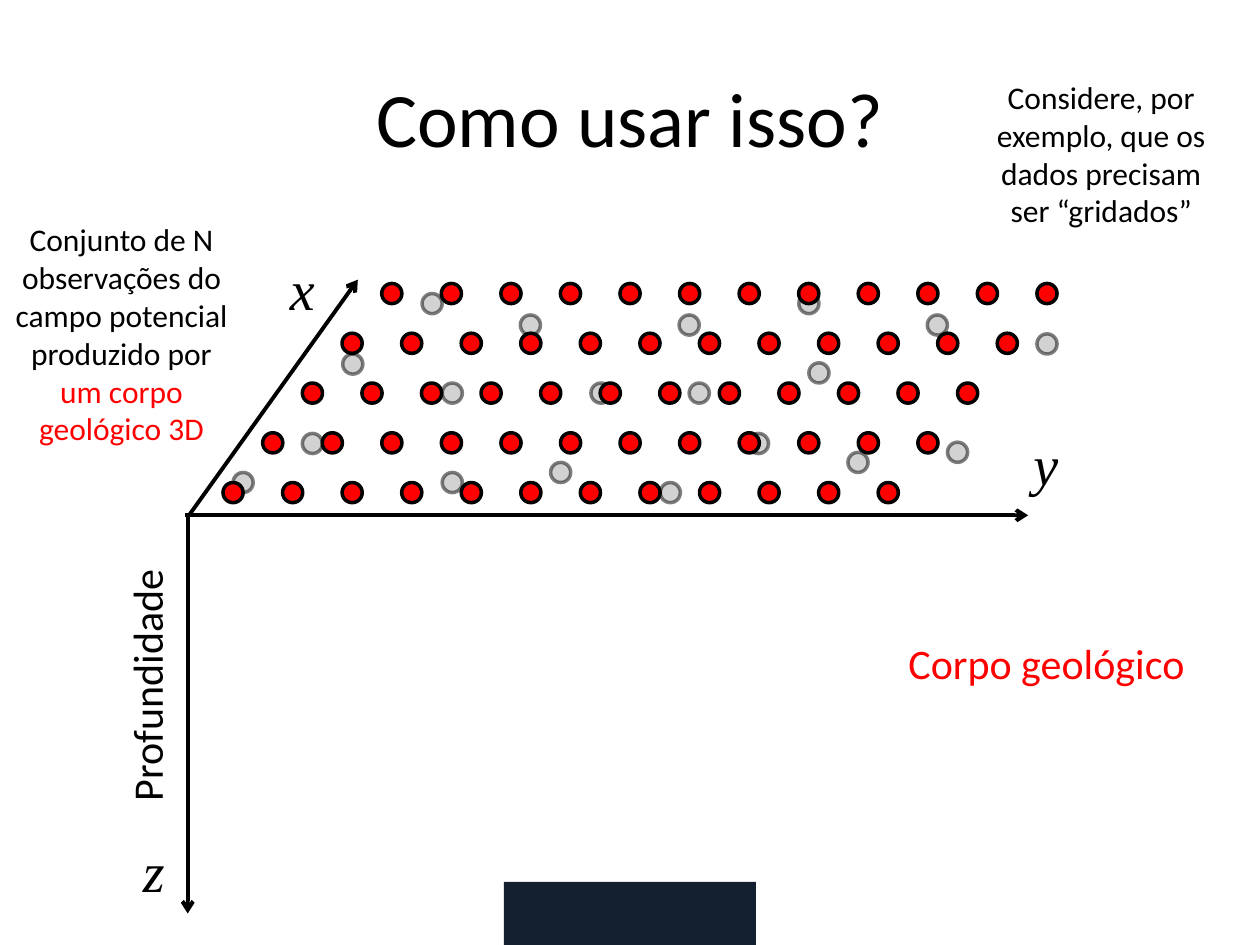
from dataclasses import dataclass

from lxml import etree
from pptx import Presentation
from pptx.dml.color import RGBColor
from pptx.enum.shapes import MSO_CONNECTOR, MSO_SHAPE
from pptx.enum.text import MSO_ANCHOR, PP_ALIGN
from pptx.oxml.ns import qn
from pptx.util import Inches, Pt

STRAIGHT = MSO_CONNECTOR.STRAIGHT
OVAL = MSO_SHAPE.OVAL
CENTER = PP_ALIGN.CENTER
MIDDLE, TOP = MSO_ANCHOR.MIDDLE, MSO_ANCHOR.TOP


@dataclass(frozen=True)
class Theme:
    black: RGBColor = RGBColor(0x00, 0x00, 0x00)
    red: RGBColor = RGBColor(0xFF, 0x00, 0x00)
    gray: RGBColor = RGBColor(0xA6, 0xA6, 0xA6)
    navy: RGBColor = RGBColor(0x14, 0x20, 0x2F)
    sans: str = "Calibri"
    serif: str = "Times New Roman"
    title: int = 44
    axis: int = 32
    label: int = 24
    note: int = 18
    axis_line: float = 2.25
    dot_line: float = 2


THEME = Theme()
DOT = 0.16
ROWS, COLUMNS = 5, 12
SKEW = 1.26  # horizontal shift between the nearest and the farthest row

OBSERVATIONS = [
    (1.58, 0.08), (2.36, 0.25), (1.74, 0.79), (0.95, 0.56), (0.63, 1.19),
    (1.74, 1.5), (2.92, 0.79), (3.62, 0.25), (2.6, 1.42), (3.7, 0.79),
    (3.47, 1.58), (4.57, 0.08), (4.65, 0.63), (4.17, 1.19), (5.59, 0.25),
    (4.96, 1.34), (5.75, 1.26), (6.46, 0.4), (0.08, 1.5),
]
BODY_OUTLINE = [
    (0.02, 0.51), (0.12, 0.37), (0.25, 0.24), (0.44, 0.13), (0.6, 0.1),
    (0.79, 0.03), (1.07, 0), (1.21, 0.03), (1.35, 0.06), (1.55, 0.14),
    (1.87, 0.26), (2.13, 0.33), (2.32, 0.47), (2.46, 0.56), (2.6, 0.74),
    (2.61, 0.85), (2.5, 1.05), (2.15, 1.28), (1.8, 1.4), (1.45, 1.55),
    (1.08, 1.61), (0.6, 1.5), (0.3, 1.36), (0.08, 1.1), (0, 0.74),
]


def add_text(slide, box, runs, size, font=THEME.sans, italic=False, anchor=TOP):
    """Add one centred paragraph; runs are (text, colour) pairs."""
    tb = slide.shapes.add_textbox(*map(Inches, box))
    tf = tb.text_frame
    tf.word_wrap = True
    tf.vertical_anchor = anchor
    p = tf.paragraphs[0]
    p.alignment = CENTER
    for text, color in runs:
        r = p.add_run()
        r.text = text
        r.font.size = Pt(size)
        r.font.name = font
        r.font.italic = italic
        r.font.color.rgb = color
    return tb


def add_arrow(slide, x1, y1, x2, y2):
    line = slide.shapes.add_connector(STRAIGHT, *map(Inches, (x1, y1, x2, y2)))
    line.line.color.rgb = THEME.black
    line.line.width = Pt(THEME.axis_line)
    etree.SubElement(line.line._get_or_add_ln(), qn("a:tailEnd"), type="arrow")
    etree.SubElement(line._element.spPr, qn("a:effectLst"))


def add_dot(group, x, y, color, opacity=100):
    sp = group.shapes.add_shape(OVAL, *map(Inches, (x, y, DOT, DOT)))
    sp.shadow.inherit = False
    sp.fill.solid()
    sp.fill.fore_color.rgb = color
    sp.line.color.rgb = THEME.black
    sp.line.width = Pt(THEME.dot_line)
    if opacity < 100:
        for clr in sp._element.spPr.iter(qn("a:srgbClr")):
            etree.SubElement(clr, qn("a:alpha"), val=str(opacity * 1000))


def add_axes(slide, box):
    left, top, width, height = box
    origin = top + 1.87
    add_arrow(slide, left + 0.02, origin, left + 0.02, top + height)
    add_arrow(slide, left, origin, left + width, origin)
    add_arrow(slide, left + 0.03, origin, left + 1.37, top)
    for name, dx, dy in (("z", -0.72, 4.37), ("x", 0.46, -0.25), ("y", 6.36, 1.14)):
        add_text(slide, (left + dx, top + dy, 0.94, 0.64),
                 [(name, THEME.black)], THEME.axis, THEME.serif, italic=True)
    depth = add_text(slide, (left - 1.53, top + 2.97, 2.44, 0.5),
                     [("Profundidade", THEME.black)], THEME.label)
    depth.rotation = 270


def add_body(slide, box):
    left, top = box[:2]
    points = [(left + x, top + y) for x, y in BODY_OUTLINE]
    builder = slide.shapes.build_freeform(*points[0], scale=Inches(1))
    builder.add_line_segments(points[1:], close=True)
    sp = builder.convert_to_shape()
    sp.shadow.inherit = False
    sp.fill.solid()
    sp.fill.fore_color.rgb = THEME.navy
    sp.line.fill.background()


def add_observations(slide, box):
    left, top = box[:2]
    group = slide.shapes.add_group_shape()
    for x, y in OBSERVATIONS:
        add_dot(group, left + x, top + y, THEME.gray, opacity=50)


def add_grid(slide, box):
    """Fill the box with a slanted regular grid of dots."""
    left, top, width, height = box
    step_x = (width - SKEW - DOT) / (COLUMNS - 1)
    step_y = (height - DOT) / (ROWS - 1)
    group = slide.shapes.add_group_shape()
    for row in range(ROWS):
        start = left + SKEW * (1 - row / (ROWS - 1))
        for column in range(COLUMNS):
            add_dot(group, start + column * step_x, top + row * step_y, THEME.red)


def add_captions(slide):
    add_text(slide, (0.5, 0.3, 9, 1.25), [("Como usar isso?", THEME.black)],
             THEME.title, anchor=MIDDLE)
    add_text(slide, (0, 1.7, 1.93, 1.92), [
        ("Conjunto de N observações do campo potencial produzido por ", THEME.black),
        ("um corpo geológico 3D", THEME.red)], THEME.note)
    add_text(slide, (6.65, 5.01, 3.31, 0.5), [("Corpo geológico", THEME.red)],
             THEME.label)
    add_text(slide, (7.74, 0.57, 2, 1.31), [
        ("Considere, por exemplo, que os dados precisam ser “gridados”", THEME.black)],
        THEME.note)


def main():
    prs = Presentation()
    prs.slide_width, prs.slide_height = Inches(10), Inches(7.5)
    slide = prs.slides.add_slide(prs.slide_layouts[6])
    field = (1.77, 2.25, 6.62, 1.74)
    add_axes(slide, (1.47, 2.22, 6.69, 5.03))
    add_body(slide, (3.69, 6.76, 2.61, 1.61))
    add_captions(slide)
    add_observations(slide, field)
    add_grid(slide, field)
    prs.save("out.pptx")


if __name__ == "__main__":
    main()
